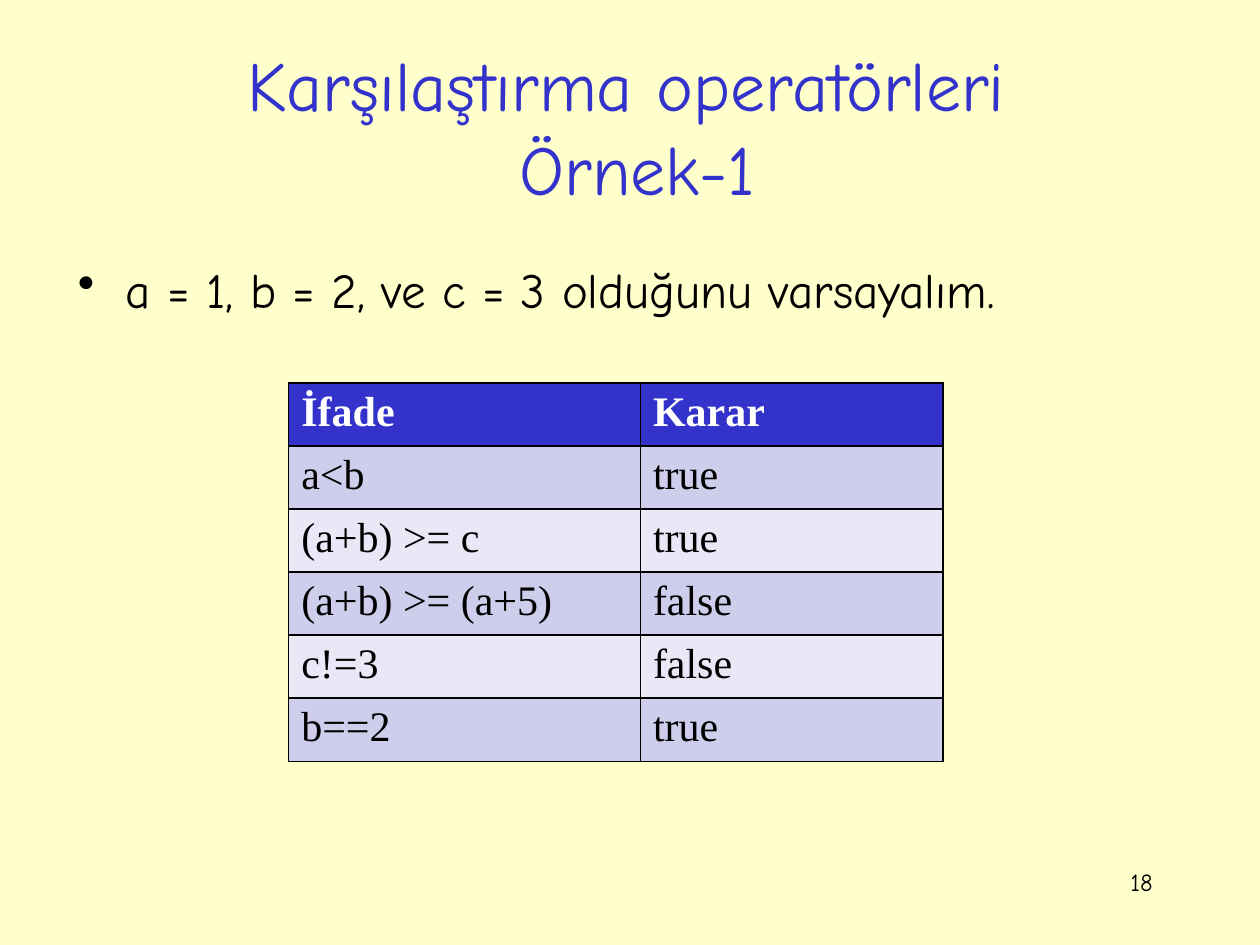
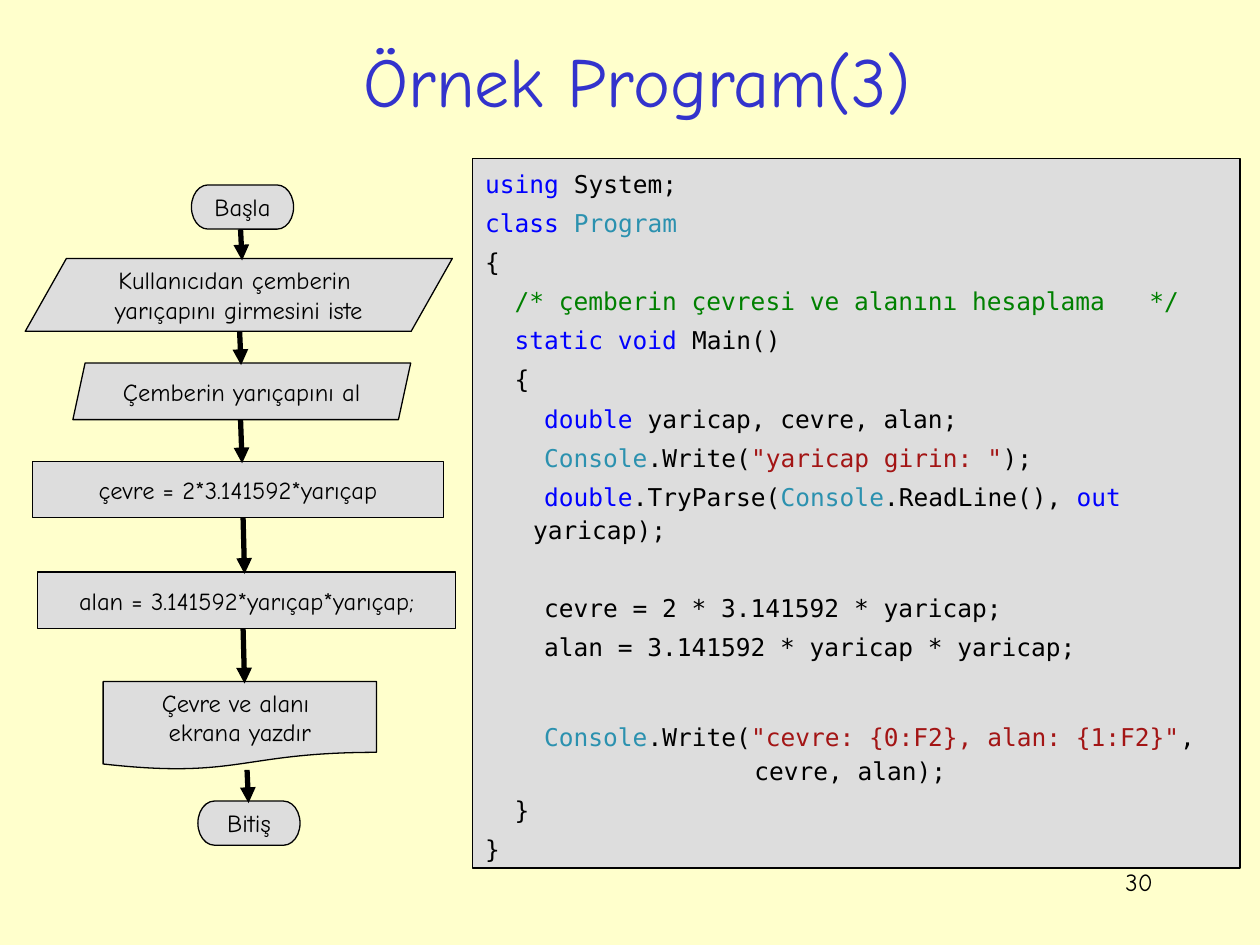
from lxml import etree
from pptx import Presentation
from pptx import util as u
from pptx.dml.color import RGBColor
from pptx.enum import shapes, text
from pptx.oxml import ns

COLORS = {
    "background": "FFFFCC", "title": "3333CC", "black": "000000",
    "white": "FFFFFF", "panel": "DDDDDD", "header": "3333CC",
    "band_dark": "CECEEC", "band_light": "E8E8F6",
    "keyword": "0000FF", "type": "2B91AF", "comment": "008000",
    "string": "A31515",
}
BODY_FONT, CODE_FONT, TABLE_FONT = "Comic Neue", "DejaVu Sans Mono", "Times New Roman"
LEFT, CENTER, RIGHT = text.PP_ALIGN.LEFT, text.PP_ALIGN.CENTER, text.PP_ALIGN.RIGHT
TOP, MIDDLE = text.MSO_ANCHOR.TOP, text.MSO_ANCHOR.MIDDLE
HANGING = 0.97          # hanging indent of body text, cm
CODE_CHARACTER = 0.297  # width of one code character, cm

TRUTH_ROWS = [
    ("İfade", "Karar"), ("a<b", "true"), ("(a+b) >= c", "true"),
    ("(a+b) >= (a+5)", "false"), ("c!=3", "false"), ("b==2", "true"),
]

# Each code line: indent in characters, space before in points, coloured pieces
CODE_LINES = [
    (0, 3, [("keyword", "using"), ("black", " System;")]),
    (0, 3, [("keyword", "class "), ("type", "Program")]),
    (0, 3, [("black", "{")]),
    (2, 3, [("comment", "/* çemberin çevresi ve alanını hesaplama   */")]),
    (2, 3, [("keyword", "static void"), ("black", " Main()")]),
    (2, 3, [("black", "{")]),
    (4, 3, [("keyword", "double "), ("black", "yaricap, cevre, alan;")]),
    (4, 3, [("type", "Console"), ("black", ".Write("),
            ("string", '"yaricap girin: "'), ("black", ");")]),
    (4, 3, [("keyword", "double"), ("black", ".TryParse("), ("type", "Console"),
            ("black", ".ReadLine(), "), ("keyword", "out "), ("black", "yaricap);")]),
    (4, 25, [("black", "cevre = 2 * 3.141592 * yaricap;")]),
    (4, 3, [("black", "alan = 3.141592 * yaricap * yaricap;")]),
    (4, 32, [("type", "Console"), ("black", ".Write("),
             ("string", '"cevre: {0:F2}, alan: {1:F2}"'), ("black", ",")]),
    (18.27, 0, [("black", "cevre, alan);")]),
    (2, 3, [("black", "}")]),
    (0, 3, [("black", "}")]),
]

# Each step: shape, left, top, width, height (cm), adjustment, text, x of next arrow
SHAPE = shapes.MSO_SHAPE
FLOW_STEPS = [
    (SHAPE.FLOWCHART_TERMINATOR, 3.86, 3.73, 2.06, 0.89, None, "Başla", 4.85),
    (SHAPE.PARALLELOGRAM, 0.51, 5.21, 8.61, 1.47, 0.565,
     "Kullanıcıdan çemberin \nyarıçapını girmesini iste", 4.83),
    (SHAPE.PARALLELOGRAM, 1.47, 7.32, 6.81, 1.14, 0.216, "Çemberin yarıçapını al", 4.85),
    (SHAPE.RECTANGLE, 0.66, 9.3, 8.28, 1.14, None, "çevre = 2*3.141592*yarıçap", 4.9),
    (SHAPE.RECTANGLE, 0.76, 11.53, 8.43, 1.14, None, "alan = 3.141592*yarıçap*yarıçap;", 4.9),
    (SHAPE.FLOWCHART_DOCUMENT, 2.08, 13.74, 5.51, 1.78, None,
     "Çevre ve alanı \nekrana yazdır", 4.98),
    (SHAPE.FLOWCHART_TERMINATOR, 3.99, 16.15, 2.06, 0.89, None, "Bitiş", None),
]


def rgb(name):
    return RGBColor.from_string(COLORS[name])


def lengths(*values):
    return [u.Cm(value) for value in values]


def add_element(parent, tag, **attributes):
    return etree.SubElement(parent, ns.qn(tag), attributes)


def style_run(run, size, color, font=BODY_FONT, bold=False):
    run.font.size, run.font.name, run.font.bold = u.Pt(size), font, bold
    run.font.color.rgb = rgb(color)


def style_text(frame, size, color, align=LEFT, font=BODY_FONT, bold=False):
    for paragraph in frame.paragraphs:
        paragraph.alignment = align
        for run in paragraph.runs:
            style_run(run, size, color, font, bold)


def set_indent(paragraph, margin, first_line):
    properties = paragraph._p.get_or_add_pPr()
    properties.set("marL", str(u.Cm(margin)))
    properties.set("indent", str(u.Cm(first_line)))
    return properties


def add_text(slide, box, content, size, color, align=LEFT, anchor=TOP):
    frame = slide.shapes.add_textbox(*lengths(*box)).text_frame
    frame.word_wrap = True
    frame.vertical_anchor = anchor
    frame.text = content
    style_text(frame, size, color, align)
    return frame


def add_panel(container, kind, box):
    """Grey shape with a thin black outline."""
    shape = container.add_shape(kind, *lengths(*box))
    shape.shadow.inherit = False
    shape.fill.solid()
    shape.fill.fore_color.rgb = rgb("panel")
    shape.line.color.rgb = rgb("black")
    shape.line.width = u.Pt(0.75)
    return shape


def add_slide(presentation, title, title_box, number):
    """Slide with the shared background, title and page number."""
    slide = presentation.slides.add_slide(presentation.slide_layouts[6])
    slide.background.fill.solid()
    slide.background.fill.fore_color.rgb = rgb("background")
    add_text(slide, (18.21, 17.35, 5.28, 1.27), number, 14, "black", RIGHT)
    add_text(slide, title_box, title, 40, "title", CENTER, MIDDLE)
    return slide


def add_bullet(slide, box, content):
    paragraph = add_text(slide, box, content, 28, "black").paragraphs[0]
    paragraph.space_before = u.Pt(5.6)
    properties = set_indent(paragraph, HANGING, -HANGING)
    add_element(properties, "a:buChar", char="•")


def add_cell_borders(cell):
    properties = cell._tc.get_or_add_tcPr()
    for side in ("L", "R", "T", "B"):
        line = add_element(properties, "a:ln" + side, w=str(u.Pt(1)))
        fill = add_element(line, "a:solidFill")
        add_element(fill, "a:srgbClr", val=COLORS["black"])


def add_truth_table(slide, left, top, widths, row_height, rows):
    frame = slide.shapes.add_table(len(rows), len(widths), *lengths(
        left, top, sum(widths), row_height * len(rows)))
    table = frame.table
    for column, width in zip(table.columns, widths):
        column.width = u.Cm(width)
    for row_index, values in enumerate(rows):
        is_header = row_index == 0
        band = "header" if is_header else ("band_light", "band_dark")[row_index % 2]
        for column_index, value in enumerate(values):
            cell = table.cell(row_index, column_index)
            add_cell_borders(cell)
            cell.fill.solid()
            cell.fill.fore_color.rgb = rgb(band)
            cell.text_frame.text = value
            style_text(cell.text_frame, 24, "white" if is_header else "black",
                       font=TABLE_FONT, bold=is_header)


def add_code(slide, box, lines):
    frame = add_panel(slide.shapes, SHAPE.RECTANGLE, box).text_frame
    frame.word_wrap = True
    frame.vertical_anchor = TOP
    for index, (indent, space_before, pieces) in enumerate(lines):
        paragraph = frame.add_paragraph() if index else frame.paragraphs[0]
        paragraph.alignment = LEFT
        paragraph.line_spacing = 1.15
        paragraph.space_before = u.Pt(space_before)
        set_indent(paragraph, HANGING, indent * CODE_CHARACTER - HANGING)
        for color, piece in pieces:
            run = paragraph.add_run()
            run.text = piece
            style_run(run, 14, color, CODE_FONT)


def add_arrow(container, x, start, end):
    arrow = container.add_connector(shapes.MSO_CONNECTOR.STRAIGHT,
                                    *lengths(x, start, x + 0.03, end))
    arrow.line.color.rgb = rgb("black")
    arrow.line.width = u.Pt(3)
    add_element(arrow.line._get_or_add_ln(), "a:tailEnd", type="triangle")
    add_element(arrow._element.spPr, "a:effectLst")


def add_flowchart(slide, steps):
    container = slide.shapes.add_group_shape().shapes
    for kind, left, top, width, height, adjustment, label, _ in steps:
        shape = add_panel(container, kind, (left, top, width, height))
        if adjustment is not None:
            shape.adjustments[0] = adjustment
        frame = shape.text_frame
        frame.word_wrap = False
        frame.vertical_anchor = MIDDLE
        frame.text = label
        style_text(frame, 14, "black", CENTER)
    # Arrows run from the foot of a step to the head of the next
    for step, following in zip(steps, steps[1:]):
        add_arrow(container, step[-1], step[2] + step[4], following[2] + 0.04)


def main():
    presentation = Presentation()
    presentation.slide_width, presentation.slide_height = lengths(25.4, 19.05)

    # Comparison operators
    slide = add_slide(presentation, "Karşılaştırma operatörleri \vÖrnek-1",
                      (1.02, 0.69, 23.67, 3.68), "18")
    add_bullet(slide, (1.32, 5.11, 21.59, 1.98),
               "a = 1, b = 2, ve c = 3 olduğunu varsayalım.")
    add_truth_table(slide, 5.82, 7.72, (7.09, 6.1), 1.19, TRUTH_ROWS)

    # Example program with its flowchart
    slide = add_slide(presentation, "Örnek Program(3)", (1.47, 0.66, 22.76, 1.88), "30")
    add_code(slide, (9.53, 3.2, 15.47, 14.3), CODE_LINES)
    add_flowchart(slide, FLOW_STEPS)

    presentation.save("out.pptx")


main()
